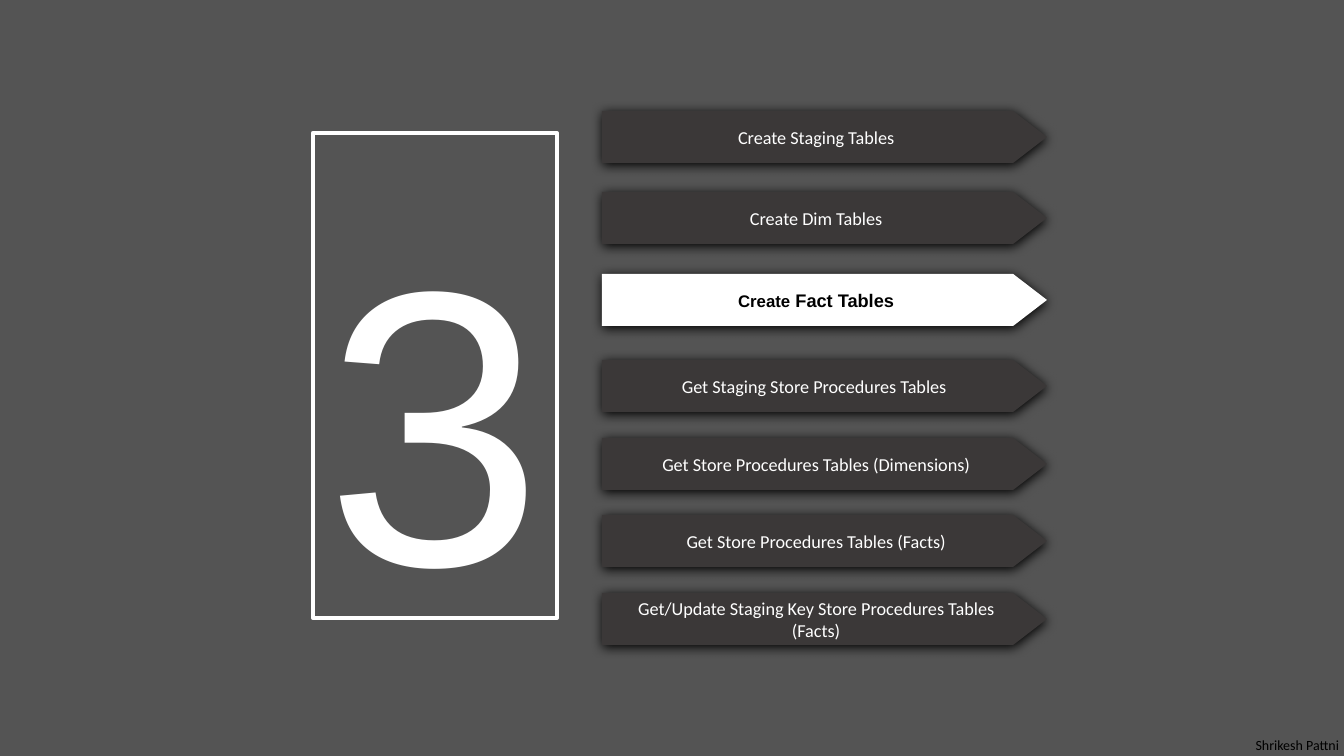
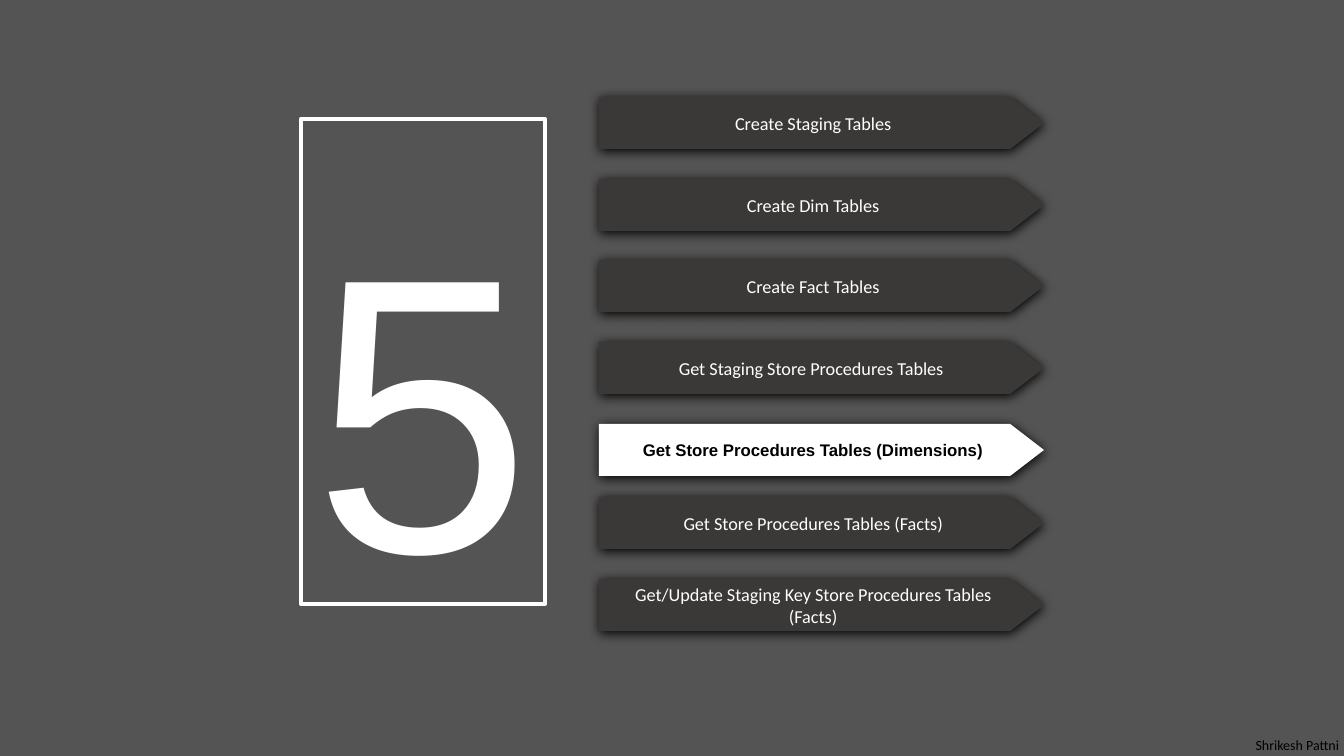
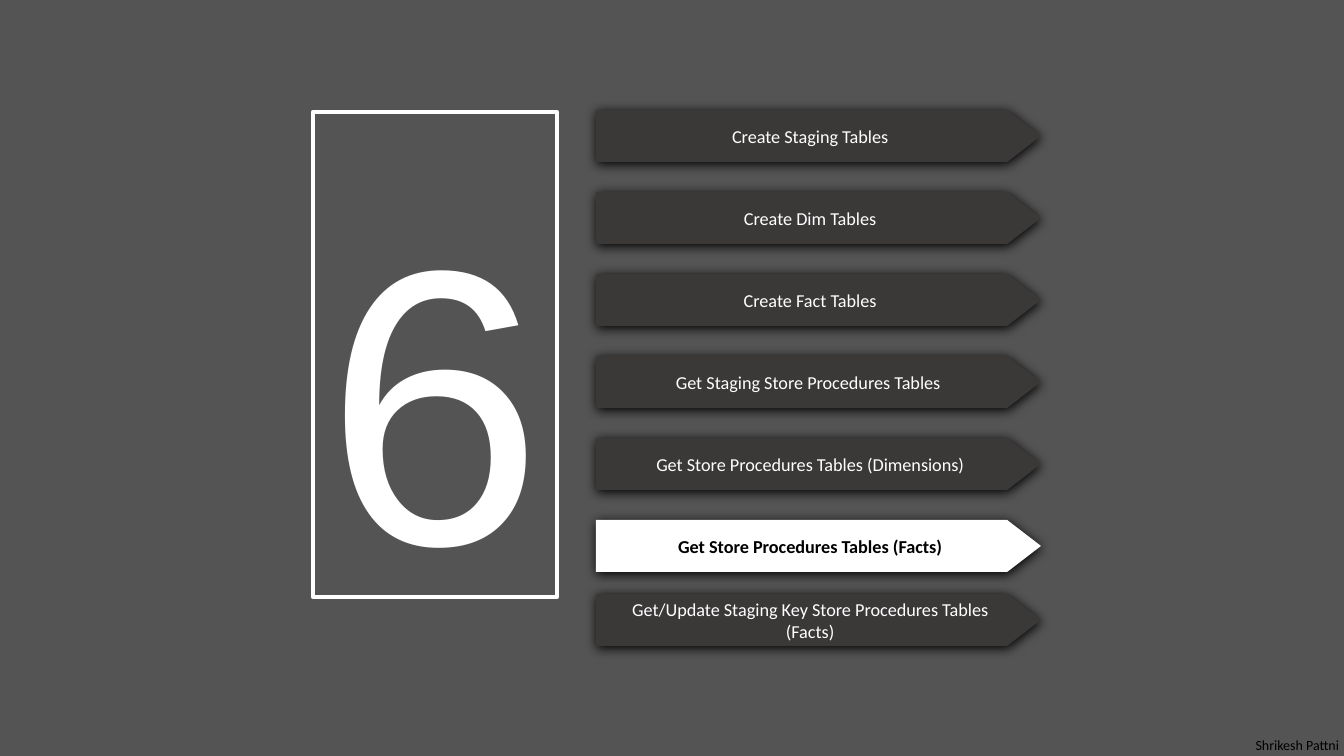
from dataclasses import dataclass

from lxml import etree
from pptx import Presentation
from pptx.dml.color import RGBColor
from pptx.enum.shapes import MSO_SHAPE
from pptx.enum.text import MSO_ANCHOR, PP_ALIGN
from pptx.oxml.ns import qn
from pptx.util import Emu, Pt

RECTANGLE = MSO_SHAPE.RECTANGLE
PENTAGON = MSO_SHAPE.PENTAGON
TOP, MIDDLE = MSO_ANCHOR.TOP, MSO_ANCHOR.MIDDLE
CENTER, RIGHT = PP_ALIGN.CENTER, PP_ALIGN.RIGHT

GREY = RGBColor(0x54, 0x54, 0x54)
CHARCOAL = RGBColor(0x3B, 0x38, 0x38)
WHITE = RGBColor(0xFF, 0xFF, 0xFF)
BLACK = RGBColor(0x00, 0x00, 0x00)

EMU_PER_INCH = 914400
PX_PER_INCH = 100.8
SLIDE_WIDTH, SLIDE_HEIGHT = 1344, 756
FRAME_WIDTH, FRAME_HEIGHT = 244, 485
ARROW_WIDTH, ARROW_HEIGHT = 445, 52
FOOTER_WIDTH, FOOTER_HEIGHT = 132, 27
DIGIT_INSET = 41
BLANK_LAYOUT = 6

STEPS = [
    "Create Staging Tables",
    "Create Dim Tables",
    "Create Fact Tables",
    "Get Staging Store Procedures Tables ",
    "Get Store Procedures Tables (Dimensions)",
    "Get Store Procedures Tables (Facts)",
    "Get/Update Staging Key Store Procedures Tables (Facts)",
]


@dataclass
class Agenda:
    """One agenda slide; each row group is (first top, last top, count)."""
    current: int
    frame_left: int
    frame_top: int
    arrow_left: int
    row_groups: list
    current_font: str
    current_runs: list


AGENDAS = [
    Agenda(3, 313, 133, 602, [(111, 274, 3), (360, 593, 4)],
           "Arial", [("Create", 12), (" Fact Tables", 13)]),
    Agenda(5, 301, 119, 599, [(97, 424, 5), (497, 579, 2)],
           "Arial", [(STEPS[4], 12)]),
    Agenda(6, 313, 112, 596, [(110, 520, 6), (594, 594, 1)],
           "Calibri", [(STEPS[5], 13)]),
]


def px(length):
    return Emu(round(length * EMU_PER_INCH / PX_PER_INCH))


def spread(first, last, count):
    """Return evenly spaced whole positions from first to last."""
    gap = (last - first) / max(count - 1, 1)
    return [round(first + index * gap) for index in range(count)]


def write_text(shape, runs, font, color, bold=False, align=CENTER, anchor=MIDDLE):
    """Fill the shape with one paragraph of (text, size) runs."""
    text_frame = shape.text_frame
    text_frame.word_wrap = True
    text_frame.vertical_anchor = anchor
    paragraph = text_frame.paragraphs[0]
    paragraph.alignment = align
    for text, size in runs:
        run = paragraph.add_run()
        run.text = text
        run.font.name = font
        run.font.size = Pt(size)
        run.font.bold = bold
        run.font.color.rgb = color


def add_glow_shadow(shape):
    """Give the shape a soft black shadow just below it."""
    shape.shadow.inherit = False
    effects = shape._element.spPr.find(qn("a:effectLst"))
    shadow = etree.SubElement(
        effects, qn("a:outerShdw"), blurRad=str(Pt(8.5)), dist=str(Pt(1)),
        dir="5400000", algn="t", rotWithShape="0")
    etree.SubElement(shadow, qn("a:srgbClr"), val=str(BLACK))


def add_number_frame(slide, left, top, number):
    frame = slide.shapes.add_shape(
        RECTANGLE, px(left), px(top), px(FRAME_WIDTH), px(FRAME_HEIGHT))
    frame.shadow.inherit = False
    frame.fill.background()
    frame.line.color.rgb = WHITE
    frame.line.width = Pt(3)
    etree.SubElement(frame._element.spPr.find(qn("a:ln")), qn("a:round"))
    write_text(frame, [(str(number), 280)], "Arial", WHITE, anchor=TOP)
    frame.text_frame.margin_top = px(DIGIT_INSET)
    frame.text_frame.margin_bottom = 0


def add_step_arrow(slide, left, top, fill):
    arrow = slide.shapes.add_shape(
        PENTAGON, px(left), px(top), px(ARROW_WIDTH), px(ARROW_HEIGHT))
    arrow.adjustments[0] = 0.65
    arrow.fill.solid()
    arrow.fill.fore_color.rgb = fill
    arrow.line.fill.background()
    add_glow_shadow(arrow)
    return arrow


def add_footer(slide):
    footer = slide.shapes.add_textbox(
        px(SLIDE_WIDTH - FOOTER_WIDTH), px(SLIDE_HEIGHT - 24),
        px(FOOTER_WIDTH), px(FOOTER_HEIGHT))
    write_text(footer, [("Shrikesh Pattni", 10)], "Calibri", BLACK,
               align=RIGHT, anchor=TOP)
    footer.text_frame.margin_right = px(5)


def add_agenda_slide(presentation, agenda):
    slide = presentation.slides.add_slide(presentation.slide_layouts[BLANK_LAYOUT])
    add_number_frame(slide, agenda.frame_left, agenda.frame_top, agenda.current)
    tops = [top for group in agenda.row_groups for top in spread(*group)]
    for number, (label, top) in enumerate(zip(STEPS, tops), start=1):
        if number == agenda.current:
            arrow = add_step_arrow(slide, agenda.arrow_left, top, WHITE)
            write_text(arrow, agenda.current_runs, agenda.current_font, BLACK, bold=True)
        else:
            arrow = add_step_arrow(slide, agenda.arrow_left, top, CHARCOAL)
            write_text(arrow, [(label, 13)], "Calibri", WHITE)
    add_footer(slide)


def main():
    presentation = Presentation()
    presentation.slide_width = px(SLIDE_WIDTH)
    presentation.slide_height = px(SLIDE_HEIGHT)
    background = presentation.slide_master.background.fill
    background.solid()
    background.fore_color.rgb = GREY
    for agenda in AGENDAS:
        add_agenda_slide(presentation, agenda)
    presentation.save("out.pptx")


if __name__ == "__main__":
    main()
